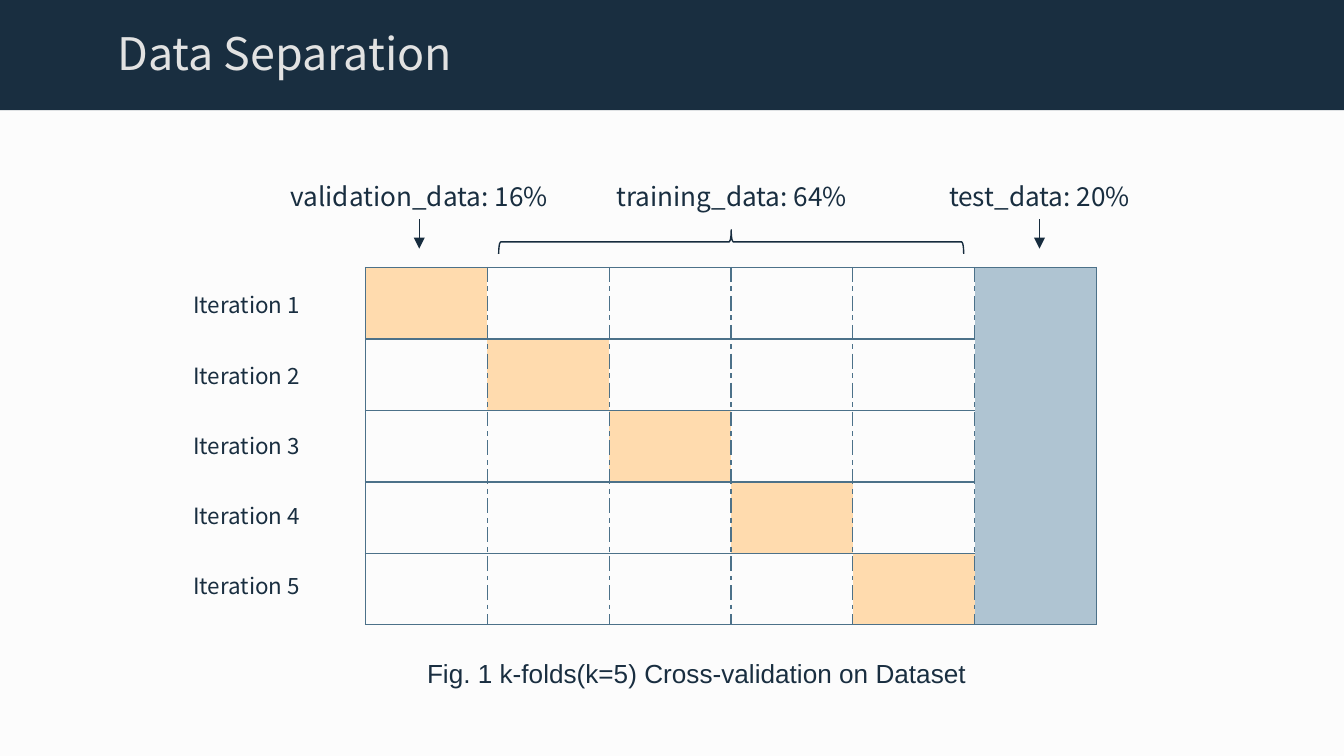
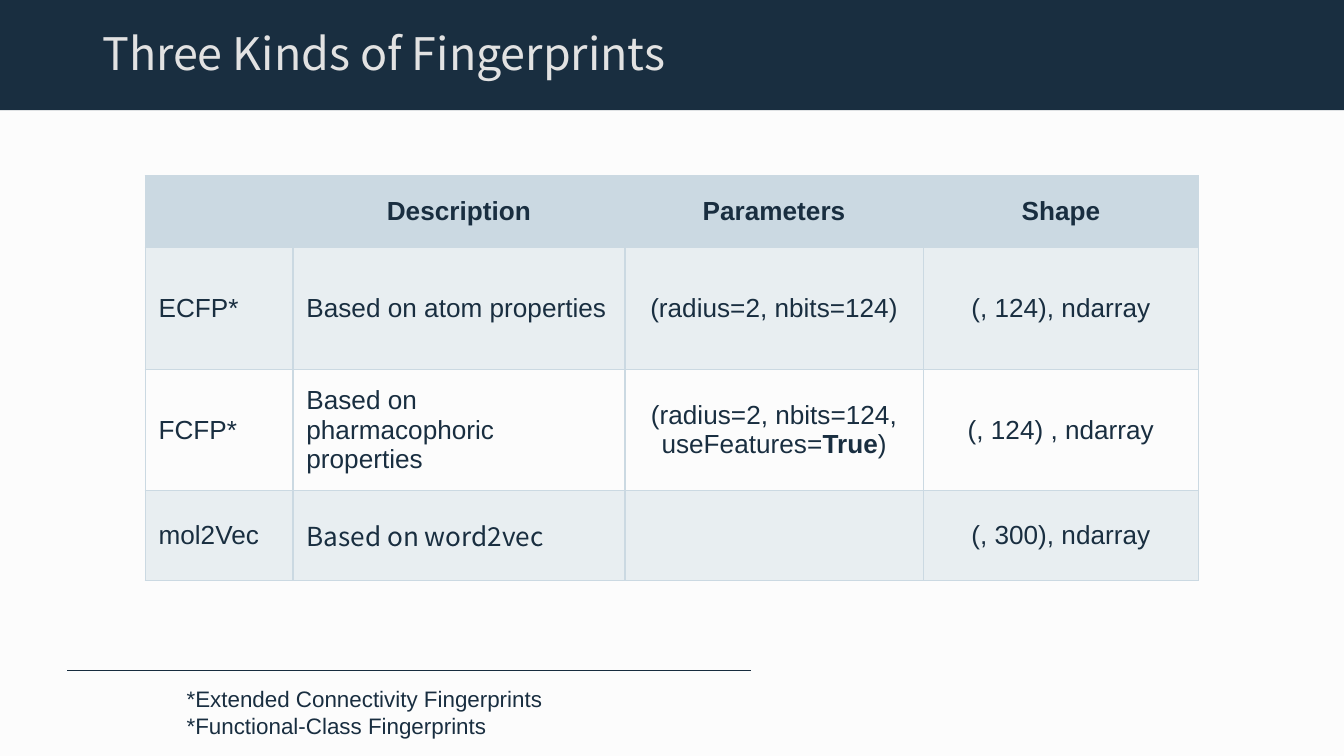
from dataclasses import dataclass

from lxml import etree
from pptx import Presentation
from pptx import util as u
from pptx.dml.color import RGBColor
from pptx.enum import shapes, text
from pptx.oxml import ns
from pptx.util import Inches


@dataclass(frozen=True)
class Theme:
    page: str = "FCFCFC"
    navy: str = "192E40"
    stroke: str = "172C3E"
    title: str = "E2E2E2"
    grid: str = "4C7189"
    validation: str = "FFDBAE"
    test: str = "AFC4D2"
    pale: str = "CBD9E2"
    main_font: str = "Noto Sans CJK SC"
    plain_font: str = "Arial"
    title_size: int = 24
    body_size: int = 14
    small_size: int = 12
    line: float = 0.75


T = Theme()
CENTER, LEFT = text.PP_ALIGN.CENTER, text.PP_ALIGN.LEFT


@dataclass(frozen=True)
class Label:
    text: str
    left: float
    top: float
    width: float
    height: float = 0.34
    size: int = T.body_size
    font: str = T.main_font
    centred: bool = True
    arrow: bool = False


@dataclass(frozen=True)
class Edge:
    color: str
    dash: str = "solid"


@dataclass(frozen=True)
class Row:
    name: str
    description: str
    parameters: tuple[str, ...]  # every second part is bold
    shape: str
    height: float
    font: str = T.plain_font  # font of the description


# Text and lines
def style(p, size: int, font: str, color: str, centred: bool, bold: bool = False) -> None:
    p.alignment = CENTER if centred else LEFT
    p.font.size, p.font.name, p.font.bold = u.Pt(size), font, bold
    p.font.color.rgb = RGBColor.from_string(color)


def add_line(s, x1: float, y1: float, x2: float, y2: float):
    line = s.shapes.add_connector(shapes.MSO_CONNECTOR.STRAIGHT,
                                  Inches(x1), Inches(y1), Inches(x2), Inches(y2))
    line.line.color.rgb = RGBColor.from_string(T.stroke)
    line.line.width = u.Pt(T.line)
    etree.SubElement(line._element.spPr, ns.qn("a:effectLst"))
    return line


def add_label(s, label: Label) -> None:
    box = s.shapes.add_textbox(Inches(label.left), Inches(label.top),
                               Inches(label.width), Inches(label.height))
    tf = box.text_frame
    tf.word_wrap = True
    tf.text = label.text
    for p in tf.paragraphs:
        style(p, label.size, label.font, T.navy, label.centred)
    if label.arrow:
        x, y = label.left + label.width / 2, label.top + label.height
        arrow = add_line(s, x, y, x, y + 0.22)
        arrow.begin_connect(box, 2)
        ln = arrow._element.spPr.find(ns.qn("a:ln"))
        etree.SubElement(ln, ns.qn("a:tailEnd"), type="triangle")


# Tables
def set_borders(cell, left: Edge, right: Edge, top: Edge, bottom: Edge) -> None:
    tc_pr = cell._tc.get_or_add_tcPr()
    for i, (side, edge) in enumerate(zip("LRTB", (left, right, top, bottom))):
        ln = etree.Element(ns.qn(f"a:ln{side}"), w=str(int(u.Pt(T.line))))
        fill = etree.SubElement(ln, ns.qn("a:solidFill"))
        etree.SubElement(fill, ns.qn("a:srgbClr"), val=edge.color)
        etree.SubElement(ln, ns.qn("a:prstDash"), val=edge.dash)
        tc_pr.insert(i, ln)


def set_fill(cell, color: str | None, opacity: int = 100) -> None:
    if color is None:
        cell.fill.background()
        return
    cell.fill.solid()
    cell.fill.fore_color.rgb = RGBColor.from_string(color)
    if opacity < 100:
        clr = cell._tc.tcPr.find(f"{ns.qn('a:solidFill')}/{ns.qn('a:srgbClr')}")
        etree.SubElement(clr, ns.qn("a:alpha"), val=str(opacity * 1000))


def add_plain_table(s, left: float, top: float, widths: list[float], heights: list[float]):
    table = s.shapes.add_table(len(heights), len(widths), Inches(left), Inches(top),
                               Inches(sum(widths)), Inches(sum(heights))).table
    table.first_row = table.horz_banding = False
    for column, width in zip(table.columns, widths):
        column.width = Inches(width)
    for row, height in zip(table.rows, heights):
        row.height = Inches(height)
    return table


# Shared page: background, band and title
def prepare_layout(prs):
    fill = prs.slide_master.background.fill
    fill.solid()
    fill.fore_color.rgb = RGBColor.from_string(T.page)
    return prs.slide_layouts[5]


def add_page(prs, layout, title: str, width: float):
    s = prs.slides.add_slide(layout)
    band = s.shapes.add_shape(shapes.MSO_SHAPE.RECTANGLE, Inches(-0.05), Inches(-0.1),
                              Inches(10.1), Inches(0.92))
    band.shadow.inherit = False
    band.fill.solid()
    band.fill.fore_color.rgb = RGBColor.from_string(T.navy)
    band.line.fill.background()
    s.shapes._spTree.insert(2, band._element)  # behind the title

    sp = s.shapes.title
    sp.left, sp.top, sp.width, sp.height = Inches(0.39), Inches(0.14), Inches(width), Inches(0.5)
    tf = sp.text_frame
    tf.text = title
    tf.auto_size = text.MSO_AUTO_SIZE.NONE
    tf.vertical_anchor = text.MSO_ANCHOR.MIDDLE
    style(tf.paragraphs[0], T.title_size, T.main_font, T.title, True)
    return s


# Slide 1: five folds and a held-out test block
def build_separation(prs, layout) -> None:
    s = add_page(prs, layout, "Data Separation", 3.46)
    folds = 5
    table = add_plain_table(s, 2.72, 1.99, [5.44 / (folds + 1)] * (folds + 1),
                            [2.66 / folds] * folds)
    solid, dashed = Edge(T.grid), Edge(T.grid, "dashDot")
    for r in range(folds):
        for c in range(folds + 1):
            cell = table.cell(r, c)
            set_fill(cell, T.test if c == folds else T.validation if r == c else None)
            set_borders(cell, solid if c == 0 else dashed,
                        solid if c == folds else dashed, solid, solid)
    table.cell(0, folds).merge(table.cell(folds - 1, folds))

    # Brace over the training folds
    brace = s.shapes.add_shape(shapes.MSO_SHAPE.LEFT_BRACE, Inches(5.35), Inches(0.07),
                               Inches(0.18), Inches(3.46))
    brace.rotation = 90
    brace.adjustments[0], brace.adjustments[1] = 0.08, 0.5
    brace.shadow.inherit = False
    brace.fill.background()
    brace.line.color.rgb = RGBColor.from_string(T.stroke)
    brace.line.width = u.Pt(T.line)

    # Captions
    labels = [
        Label("training_data: 64%", 4.47, 1.29, 1.95),
        Label("validation_data: 16%", 1.89, 1.29, 2.46, arrow=True),
        Label("test_data: 20%", 6.94, 1.29, 1.59, arrow=True),
        Label("Fig. 1 k-folds(k=5) Cross-validation on Dataset", 3.03, 4.84, 4.31,
              font=T.plain_font),
    ]
    labels += [Label(f"Iteration {i + 1}", 1.34, 2.12 + i * 2.09 / (folds - 1), 1.1, 0.3,
                     T.small_size, centred=False) for i in range(folds)]
    for label in labels:
        add_label(s, label)


# Slide 2: fingerprint table with footnotes
FINGERPRINTS = [
    Row("ECFP*", "Based on atom properties", ("(radius=2, nbits=124)",),
        "(, 124), ndarray", 0.91),
    Row("FCFP*", "Based on pharmacophoric properties",
        ("(radius=2, nbits=124, useFeatures=", "True", ")"), "(, 124) , ndarray", 0.9),
    Row("mol2Vec", "Based on word2vec", (), "(, 300), ndarray", 0.67, T.main_font),
]


def fill_cell(cell, parts: tuple[str, ...], font: str, centred: bool, bold: bool) -> None:
    cell.vertical_anchor = text.MSO_ANCHOR.MIDDLE
    p = cell.text_frame.paragraphs[0]
    style(p, T.body_size, font, T.navy, centred, bold)
    for i, part in enumerate(parts):
        r = p.add_run()
        r.text = part
        if i % 2:
            r.font.bold = True


def build_fingerprints(prs, layout) -> None:
    s = add_page(prs, layout, "Three Kinds of Fingerprints", 4.93)
    add_label(s, Label("*Extended Connectivity Fingerprints\n*Functional-Class Fingerprints",
                       1.29, 5.05, 4.31, 0.5, T.small_size, T.plain_font, centred=False))
    table = add_plain_table(s, 1.08, 1.31, [1.1, 2.47, 2.22, 2.05],
                            [0.53] + [row.height for row in FINGERPRINTS])
    edge = Edge(T.pale)

    # Header
    for c, head in enumerate(((), ("Description",), ("Parameters",), ("Shape",))):
        cell = table.cell(0, c)
        fill_cell(cell, head, T.plain_font, True, True)
        set_fill(cell, T.pale)
        set_borders(cell, edge, edge, edge, Edge(T.page))

    # Body, every second row tinted
    for r, row in enumerate(FINGERPRINTS, start=1):
        contents = ((row.name,), (row.description,), row.parameters, (row.shape,))
        for c, parts in enumerate(contents):
            cell = table.cell(r, c)
            fill_cell(cell, parts, row.font if c == 1 else T.plain_font, c > 1, False)
            set_fill(cell, T.pale if r % 2 else None, 40)
            set_borders(cell, edge, edge, edge, edge)

    add_line(s, 0.5, 4.99, 5.59, 4.99)


def main() -> None:
    prs = Presentation()
    prs.slide_width = Inches(10)
    prs.slide_height = prs.slide_width * 9 // 16
    layout = prepare_layout(prs)
    build_separation(prs, layout)
    build_fingerprints(prs, layout)
    prs.save("out.pptx")


if __name__ == "__main__":
    main()
